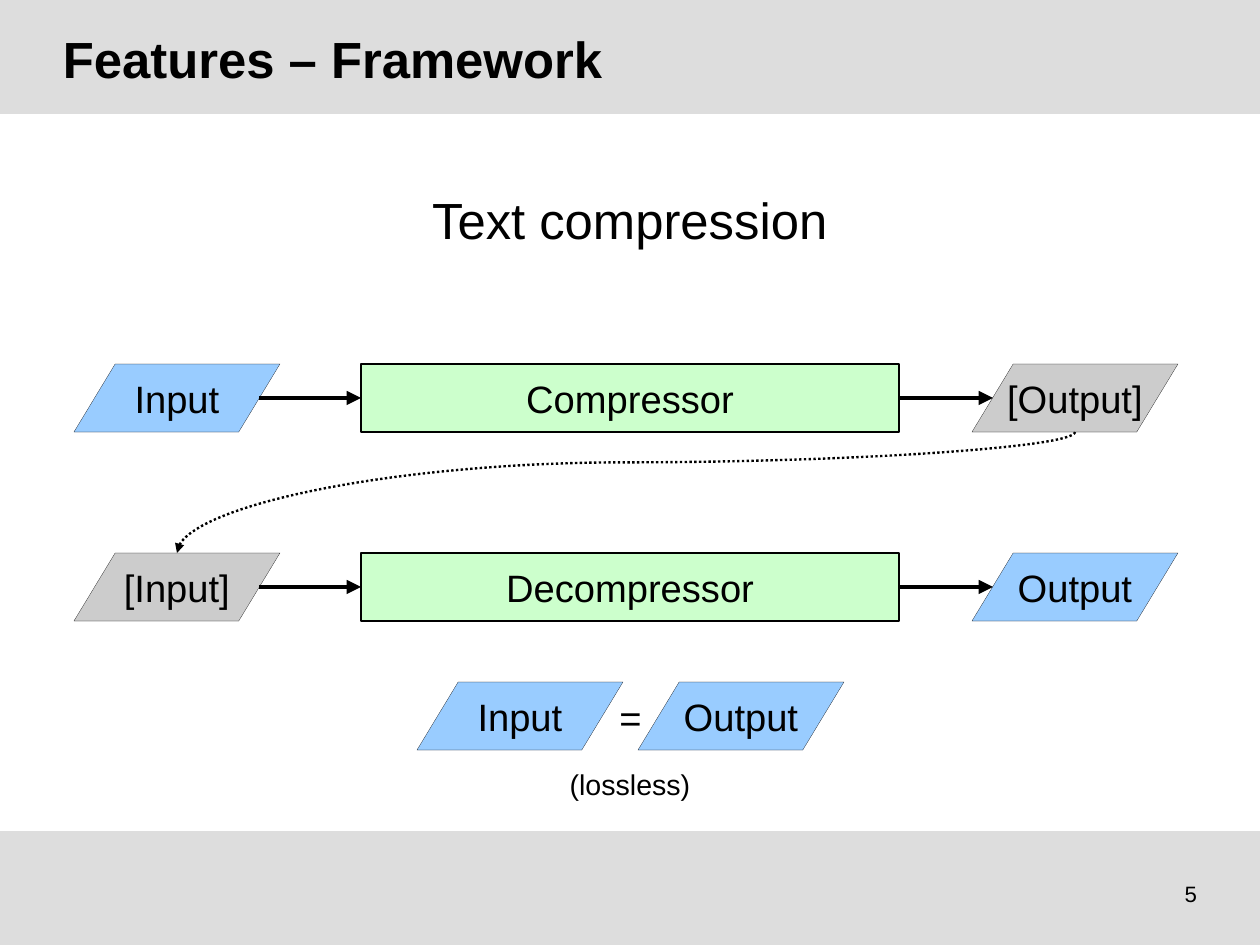
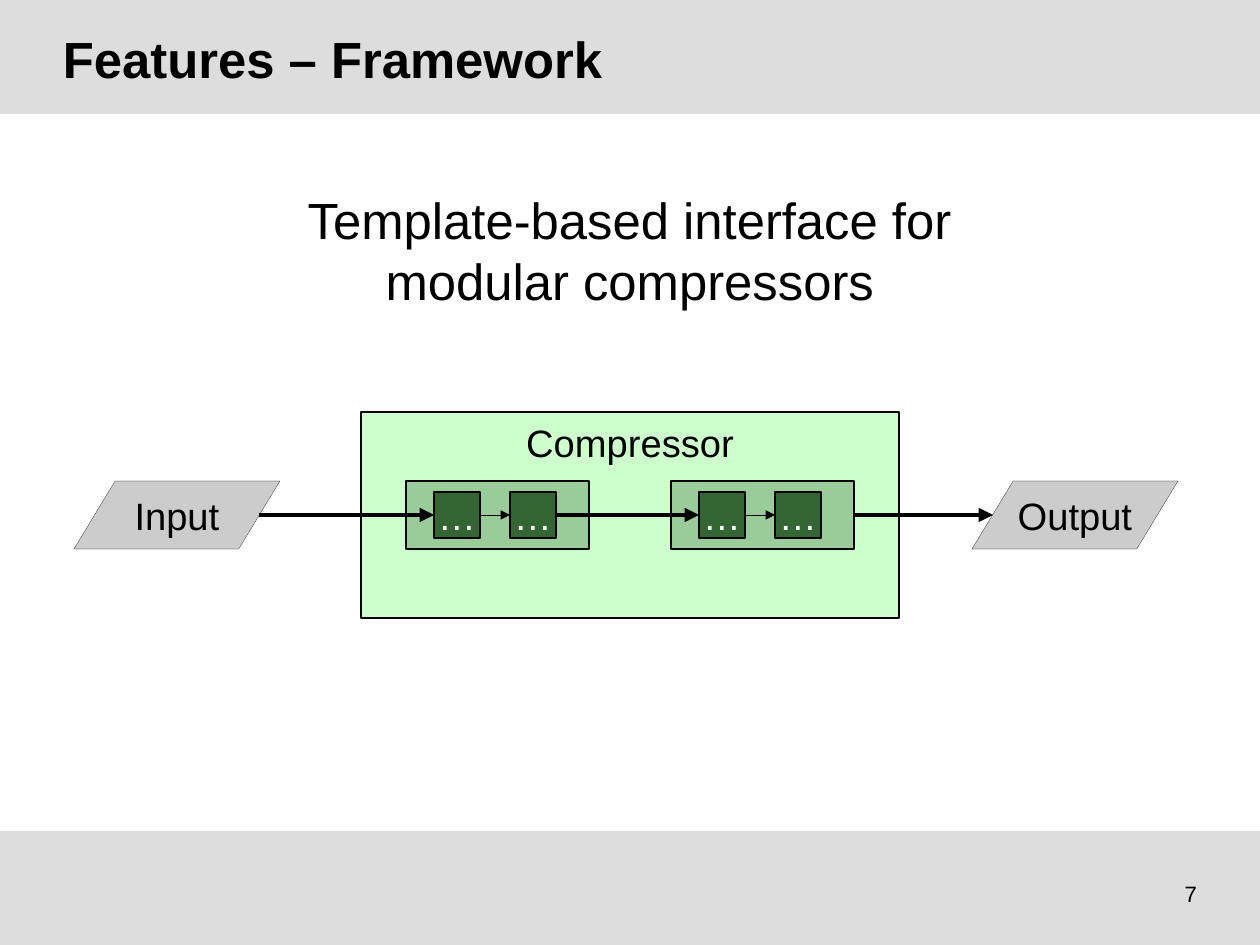
import pptx
import pptx.util
import pptx.dml.color
import pptx.enum.dml
import pptx.enum.shapes
import pptx.enum.text
import pptx.oxml
import pptx.oxml.ns

# ---- Content ----
TITLE = "Features – Framework"
HAIRLINE = 0.1
ROUND_TRIP = {
    "page": "5",
    "heading": ["Text compression"],
    # centre y, source (text, colour), process, result (text, colour)
    "rows": [
        (398, ("Input", "blue"), "Compressor", ("[Output]", "grey")),
        (587, ("[Input]", "grey"), "Decompressor", ("Output", "blue")),
    ],
    "equation": ("Input", "=", "Output"),
    "remark": "(lossless)",
}
MODULAR = {
    "page": "7",
    "heading": ["Template-based interface for", "modular compressors"],
    "row": (515, ("Input", "grey"), "Compressor", ("Output", "grey")),
    "modules": [("…", "…"), ("…", "…")],
    "step_widths": [HAIRLINE, 0.5],
}

# ---- Shared style, lengths in px ----
PX = 8000
WIDTH, HEIGHT, BAND = 1260, 945, 114
COLOURS = {
    "black": "000000", "white": "FFFFFF", "band": "DDDDDD", "grey": "CCCCCC",
    "blue": "99CCFF", "process": "CCFFCC", "module": "99CC99", "step": "336633",
}
FONT = "Arial"
ROW_H = 68
DATA_W, SOURCE_X, RESULT_X = 206, 74, 972
DATA_SLANT = 21  # distance from the box edge to the slanted side at mid height
PROCESS_X, PROCESS_W = 361, 538
MODULE_X, MODULE_W, MODULE_PITCH = 406, 183, 265
STEP_INSET, STEP_SIZE, STEP_PITCH = 28, 46, 76

SHAPE = pptx.enum.shapes.MSO_SHAPE
CONNECTOR = pptx.enum.shapes.MSO_CONNECTOR
ALIGN = pptx.enum.text.PP_ALIGN
ANCHOR = pptx.enum.text.MSO_ANCHOR
LEFT, RIGHT = 1, 3


def px(*lengths):
    return [pptx.util.Emu(round(length * PX)) for length in lengths]


def rgb(colour):
    return pptx.dml.color.RGBColor.from_string(COLOURS[colour])


def write(frame, lines, size, colour="black", align=ALIGN.CENTER, bold=False):
    frame.text = "\n".join(lines)
    for paragraph in frame.paragraphs:
        paragraph.alignment = align
        font = paragraph.font
        font.name, font.size, font.bold = FONT, pptx.util.Pt(size), bold
        font.color.rgb = rgb(colour)


def clear_margins(frame):
    frame.margin_left = frame.margin_right = 0
    frame.margin_top = frame.margin_bottom = 0
    frame.vertical_anchor = ANCHOR.MIDDLE


def add_box(shapes, kind, box, fill, line=None, text=None, colour="black",
            anchor=ANCHOR.MIDDLE):
    shape = shapes.add_shape(kind, *px(*box))
    shape.shadow.inherit = False
    shape.fill.solid()
    shape.fill.fore_color.rgb = rgb(fill)
    if line is None:
        shape.line.fill.background()
    else:
        shape.line.color.rgb = rgb("black")
        shape.line.width = pptx.util.Pt(line)
    if text:
        frame = shape.text_frame
        frame.word_wrap = False
        frame.vertical_anchor = anchor
        if anchor == ANCHOR.TOP:
            frame.margin_top, = px(7)
        write(frame, [text], 24, colour)
    return shape


def add_data(shapes, x, middle, text, fill):
    return add_box(shapes, SHAPE.FLOWCHART_DATA,
                   (x, middle - ROW_H / 2, DATA_W, ROW_H), fill, HAIRLINE, text)


def add_label(shapes, box, lines, size):
    label = shapes.add_textbox(*px(*box))
    label.text_frame.word_wrap = False
    write(label.text_frame, lines, size)


def add_arrow(shapes, begin, end, width, kind=CONNECTOR.STRAIGHT,
              begin_box=None, end_box=None):
    arrow = shapes.add_connector(kind, *px(*begin, *end))
    if begin_box is not None:
        arrow.begin_connect(begin_box, RIGHT)
    if end_box is not None:
        arrow.end_connect(end_box, LEFT)
    arrow.line.color.rgb = rgb("black")
    arrow.line.width = pptx.util.Pt(width)
    # Arrowhead and no shadow
    properties = arrow.element.spPr
    properties.find(pptx.oxml.ns.qn("a:ln")).append(pptx.oxml.parse_xml(
        '<a:tailEnd %s type="triangle"/>' % pptx.oxml.ns.nsdecls("a")))
    properties.append(pptx.oxml.parse_xml(
        "<a:effectLst %s/>" % pptx.oxml.ns.nsdecls("a")))
    return arrow


def add_return_curve(shapes, begin, end):
    # The curve leaves downwards: a sideways connector turned by 90 degrees
    (x1, y1), (x2, y2) = begin, end
    mid_x, mid_y = (x1 + x2) / 2, (y1 + y2) / 2
    half_w, half_h = (y2 - y1) / 2, (x1 - x2) / 2
    curve = add_arrow(shapes, (mid_x - half_w, mid_y - half_h),
                      (mid_x + half_w, mid_y + half_h), 1.5, CONNECTOR.CURVE)
    curve.line.dash_style = pptx.enum.dml.MSO_LINE.ROUND_DOT
    properties = curve.element.spPr
    properties.find(pptx.oxml.ns.qn("a:xfrm")).set("rot", "5400000")
    geometry = properties.find(pptx.oxml.ns.qn("a:prstGeom"))
    for guides in geometry.findall(pptx.oxml.ns.qn("a:avLst")):
        geometry.remove(guides)
    geometry.append(pptx.oxml.parse_xml(
        '<a:avLst %s><a:gd name="adj1" fmla="val 25100"/></a:avLst>'
        % pptx.oxml.ns.nsdecls("a")))


def add_bands(layout, slide):
    # Bands are built on a slide, then moved behind everything in the layout
    for y in (0, HEIGHT - BAND):
        band = add_box(slide.shapes, SHAPE.RECTANGLE, (0, y, WIDTH, BAND), "band")
        layout.shapes.element.insert(2, band.element)


def start_slide(prs, layout, content):
    slide = prs.slides.add_slide(layout)
    title = slide.shapes.title
    title.left, title.top, title.width, title.height = px(63, 24, 1134, 68)
    clear_margins(title.text_frame)
    write(title.text_frame, [TITLE], 32, align=ALIGN.LEFT, bold=True)
    title.text_frame.auto_size = pptx.enum.text.MSO_AUTO_SIZE.NONE

    add_label(slide.shapes, (295, 183, 670, 69), content["heading"], 32)

    page = slide.shapes.add_textbox(*px(903, 861, 294, 65))
    page.text_frame.word_wrap = True
    clear_margins(page.text_frame)
    write(page.text_frame, [content["page"]], 14, align=ALIGN.RIGHT)
    return slide


def add_row_boxes(shapes, row, height=ROW_H, anchor=ANCHOR.MIDDLE):
    middle, source, process, result = row
    process_box = add_box(shapes, SHAPE.RECTANGLE,
                          (PROCESS_X, middle - height / 2, PROCESS_W, height),
                          "process", 1.5, process, anchor=anchor)
    add_data(shapes, SOURCE_X, middle, *source)
    add_data(shapes, RESULT_X, middle, *result)
    return process_box


def add_row_arrows(shapes, middle, first_box, last_box):
    source_side = (SOURCE_X + DATA_W - DATA_SLANT, middle)
    result_side = (RESULT_X + DATA_SLANT, middle)
    add_arrow(shapes, source_side, source_side, 3, end_box=first_box)
    add_arrow(shapes, result_side, result_side, 3, begin_box=last_box)


def build_round_trip(slide):
    shapes = slide.shapes
    for row in ROUND_TRIP["rows"]:
        process_box = add_row_boxes(shapes, row)
        add_row_arrows(shapes, row[0], process_box, process_box)

    upper, lower = (row[0] for row in ROUND_TRIP["rows"])
    add_return_curve(shapes, (RESULT_X + DATA_W / 2, upper + ROW_H / 2),
                     (SOURCE_X + DATA_W / 2, lower - ROW_H / 2))

    # Input equals output
    equation = shapes.add_group_shape().shapes
    source, sign, result = ROUND_TRIP["equation"]
    add_data(equation, 417, 716, source, "blue")
    add_data(equation, 638, 716, result, "blue")
    add_label(equation, (608, 689, 45, 54), [sign], 24)
    add_label(shapes, (530, 761, 200, 43), [ROUND_TRIP["remark"]], 18)


def build_modular(slide):
    shapes = slide.shapes
    middle = MODULAR["row"][0]
    add_row_boxes(shapes, MODULAR["row"], 206, ANCHOR.TOP)

    # Modules, each with its chain of steps
    modules, chains = [], []
    for i, steps in enumerate(MODULAR["modules"]):
        x = MODULE_X + i * MODULE_PITCH
        modules.append(add_box(shapes, SHAPE.RECTANGLE,
                               (x, middle - ROW_H / 2, MODULE_W, ROW_H),
                               "module", 1.5))
        chains.append([
            add_box(shapes, SHAPE.RECTANGLE,
                    (x + STEP_INSET + j * STEP_PITCH, middle - STEP_SIZE / 2,
                     STEP_SIZE, STEP_SIZE), "step", 1.5, text, "white")
            for j, text in enumerate(steps)])

    # Arrows within, between and around the modules
    start = (0, middle)
    for chain, width in zip(chains, MODULAR["step_widths"]):
        for before, after in zip(chain, chain[1:]):
            add_arrow(shapes, start, start, width, begin_box=before, end_box=after)
    for chain, following in zip(chains, chains[1:]):
        add_arrow(shapes, start, start, 3, begin_box=chain[-1], end_box=following[0])
    add_row_arrows(shapes, middle, chains[0][0], modules[-1])


def main():
    prs = pptx.Presentation()
    prs.slide_width, prs.slide_height = px(WIDTH, HEIGHT)
    layout = prs.slide_layouts[5]
    round_trip = start_slide(prs, layout, ROUND_TRIP)
    add_bands(layout, round_trip)
    build_round_trip(round_trip)
    build_modular(start_slide(prs, layout, MODULAR))
    prs.save("out.pptx")


if __name__ == "__main__":
    main()
